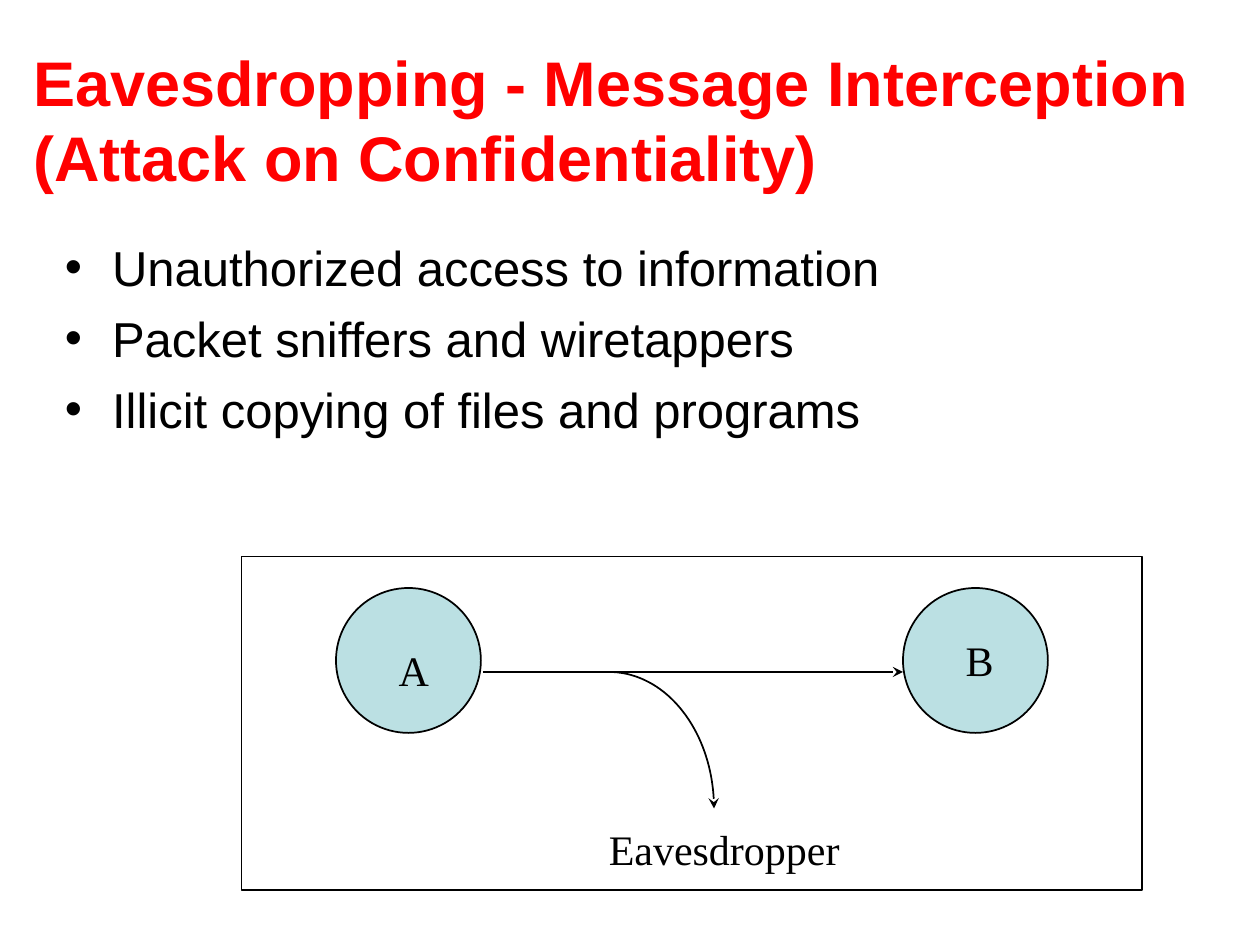
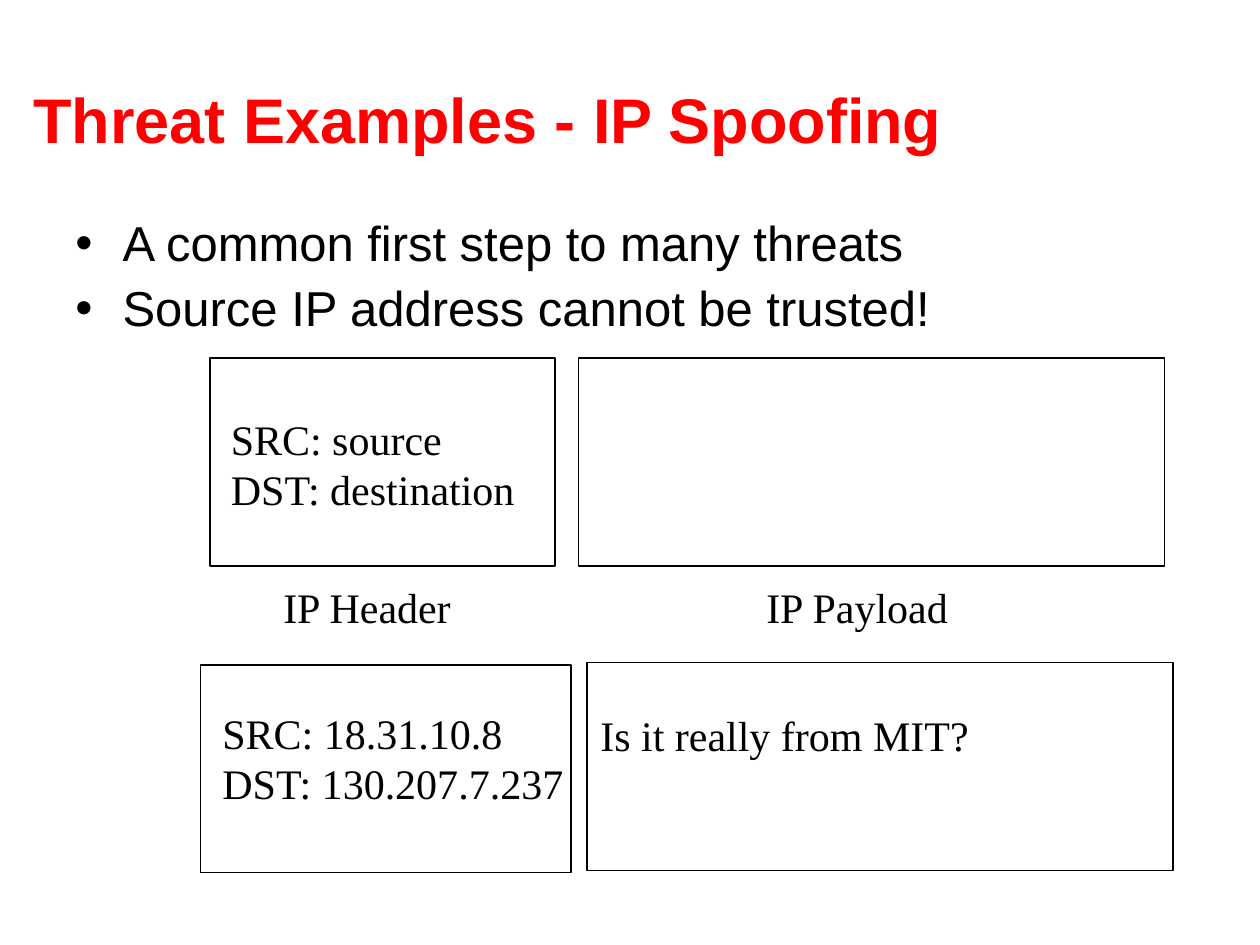
from math import cos, pi, sin
from typing import NamedTuple

from lxml.etree import SubElement
from pptx import Presentation
from pptx.dml.color import RGBColor
from pptx.enum.shapes import MSO_CONNECTOR, MSO_SHAPE
from pptx.enum.text import MSO_ANCHOR, MSO_AUTO_SIZE
from pptx.oxml.ns import qn
from pptx.util import Inches, Pt

# Shared look
RED, BLACK, WHITE, PALE_BLUE = "FF0000", "000000", "FFFFFF", "BBE0E3"
SANS, SERIF = "Arial", "Times New Roman"
SLIDE_WIDTH, SLIDE_HEIGHT = Inches(10), Inches(7.5)
COLUMNS, ROWS = 120, 90
LABEL_ROWS, TWO_LINE_ROWS = 6, 10.8


class Area(NamedTuple):
    """A place on the grid, in columns and rows."""
    left: float
    top: float
    width: float
    height: float


class TextStyle(NamedTuple):
    font: str
    size: int
    color: str = BLACK
    bold: bool = False


class Label(NamedTuple):
    text: str
    area: Area
    wrap: bool = False


class Outline(NamedTuple):
    area: Area
    fill: str | None = None
    preset: MSO_SHAPE = MSO_SHAPE.RECTANGLE


TITLE = TextStyle(SANS, 36, RED, True)
BULLET = TextStyle(SANS, 28)
LABEL = TextStyle(SERIF, 24)
TITLE_AREA = Area(2, 3.8, 115, 15)


def col(columns: float) -> int:
    return round(SLIDE_WIDTH * columns / COLUMNS)


def row(rows: float) -> int:
    return round(SLIDE_HEIGHT * rows / ROWS)


def place(area: Area) -> tuple[int, int, int, int]:
    return col(area.left), row(area.top), col(area.width), row(area.height)


def rgb(color: str) -> RGBColor:
    return RGBColor.from_string(color)


# Text
def add_text(slide, area: Area, lines: list[str], style: TextStyle, wrap: bool = True):
    frame = slide.shapes.add_textbox(*place(area)).text_frame
    frame.word_wrap = wrap
    for index, line in enumerate(lines):
        paragraph = frame.add_paragraph() if index else frame.paragraphs[0]
        run = paragraph.add_run()
        run.text = line
        run.font.name = style.font
        run.font.size = Pt(style.size)
        run.font.bold = style.bold
        run.font.color.rgb = rgb(style.color)
    return frame


def add_title(slide, title: str) -> None:
    frame = add_text(slide, TITLE_AREA, [title], TITLE)
    frame.vertical_anchor = MSO_ANCHOR.MIDDLE


def add_bullets(slide, area: Area, points: list[str], spacing: float = 1.0) -> None:
    frame = add_text(slide, area, points, BULLET)
    for index, paragraph in enumerate(frame.paragraphs):
        paragraph.line_spacing = spacing
        paragraph.space_before = Pt(7 if index else 0)
        properties = paragraph._p.get_or_add_pPr()
        properties.set("marL", str(col(4.5)))
        properties.set("indent", str(-col(4.5)))
        SubElement(properties, qn("a:buFont"), typeface=SANS)
        SubElement(properties, qn("a:buChar"), char="•")


def add_labels(slide, labels: list[Label]) -> None:
    for label in labels:
        frame = add_text(slide, label.area, label.text.split("\n"), LABEL, label.wrap)
        frame.auto_size = MSO_AUTO_SIZE.SHAPE_TO_FIT_TEXT


# Outlines and arrows
def set_line(line) -> None:
    line.color.rgb = rgb(BLACK)
    line.width = Pt(1)


def add_outlines(slide, outlines: list[Outline]) -> None:
    for outline in outlines:
        shape = slide.shapes.add_shape(outline.preset, *place(outline.area))
        shape.shadow.inherit = False
        set_line(shape.line)
        if outline.fill:
            shape.fill.solid()
            shape.fill.fore_color.rgb = rgb(outline.fill)
        else:
            shape.fill.background()


def add_arrowhead(shape) -> None:
    SubElement(shape.line._get_or_add_ln(), qn("a:tailEnd"), type="stealth")


def add_arrow(slide, start: float, end: float, level: float) -> None:
    arrow = slide.shapes.add_connector(
        MSO_CONNECTOR.STRAIGHT, col(start), row(level), col(end), row(level))
    set_line(arrow.line)
    add_arrowhead(arrow)
    SubElement(arrow._element.spPr, qn("a:effectLst"))


def add_branch(slide, area: Area, steps: int = 40) -> None:
    """A quarter ellipse that leaves to the right and bends down."""
    angles = [pi / 2 * step / steps for step in range(steps + 1)]
    points = [(col(area.left + area.width * sin(angle)),
               row(area.top + area.height * (1 - cos(angle)))) for angle in angles]
    builder = slide.shapes.build_freeform(*points[0])
    builder.add_line_segments(points[1:], close=False)
    branch = builder.convert_to_shape()
    branch.shadow.inherit = False
    branch.fill.background()
    set_line(branch.line)
    add_arrowhead(branch)


# Slides
def build_eavesdropping(slide) -> None:
    add_title(slide, "Eavesdropping - Message Interception (Attack on Confidentiality)")
    add_bullets(slide, Area(5, 22, 109, 25), [
        "Unauthorized access to information",
        "Packet sniffers and wiretappers",
        "Illicit copying of files and programs",
    ])
    sender, receiver, node_size, wire = 32, 86, 13.8, 64
    nodes = [Outline(Area(left, 56, node_size, node_size), PALE_BLUE, MSO_SHAPE.OVAL)
             for left in (sender, receiver)]
    add_outlines(slide, [Outline(Area(23, 53, 85.8, 31.8), WHITE), *nodes])
    add_arrow(slide, sender + 14, receiver, wire)
    add_branch(slide, Area(58, wire, 10, 13))
    add_labels(slide, [
        Label("A", Area(36.8, 60.8, 5.3, LABEL_ROWS)),
        Label("B", Area(90.8, 59.8, 5, LABEL_ROWS)),
        Label("Eavesdropper", Area(56.8, 77.8, 24.5, LABEL_ROWS)),
    ])


def build_spoofing(slide) -> None:
    add_title(slide, "Threat Examples - IP Spoofing")
    add_bullets(slide, Area(6, 20.3, 108, 13.2), [
        "A common first step to many threats",
        "Source IP address cannot be trusted!",
    ], spacing=0.9)
    packet_rows, payload_columns = 19.8, 55.8
    add_outlines(slide, [
        Outline(Area(20, 34.1, 32.9, packet_rows)),
        Outline(Area(55.1, 34.1, payload_columns, packet_rows)),
        Outline(Area(19.1, 63.3, 35.3, packet_rows)),
        Outline(Area(55.9, 63.1, payload_columns, packet_rows)),
    ])
    add_labels(slide, [
        Label("IP Payload", Area(71.8, 54.8, 19.9, LABEL_ROWS)),
        Label("IP Header", Area(25.8, 54.8, 18.5, LABEL_ROWS)),
        Label("SRC: source\nDST: destination", Area(20.8, 38.8, 29.6, TWO_LINE_ROWS)),
        Label("SRC: 18.31.10.8\nDST: 130.207.7.237", Area(20, 66.8, 35, TWO_LINE_ROWS)),
        Label("Is it really from MIT?", Area(56, 67, 55.2, LABEL_ROWS), wrap=True),
    ])


def main() -> None:
    deck = Presentation()
    deck.slide_width, deck.slide_height = SLIDE_WIDTH, SLIDE_HEIGHT
    blank = deck.slide_layouts[6]
    for build in (build_eavesdropping, build_spoofing):
        build(deck.slides.add_slide(blank))
    deck.save("out.pptx")


if __name__ == "__main__":
    main()
